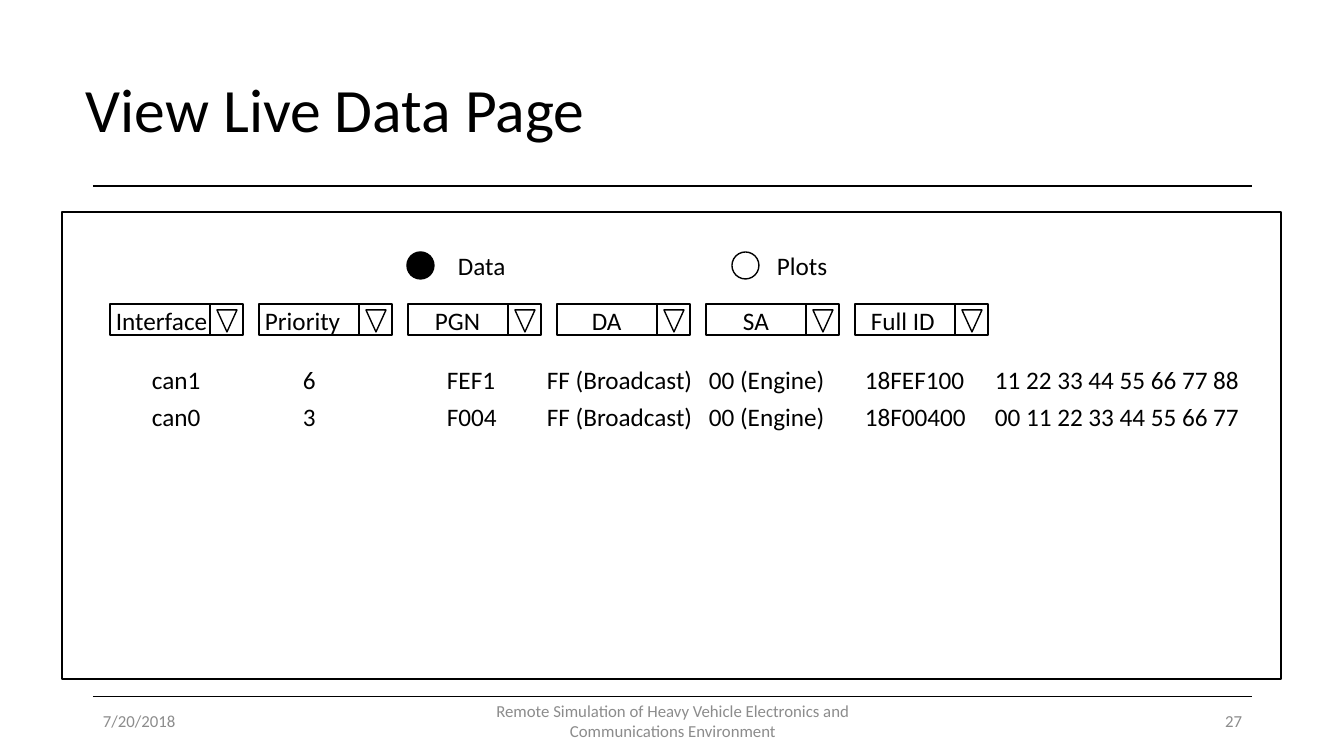
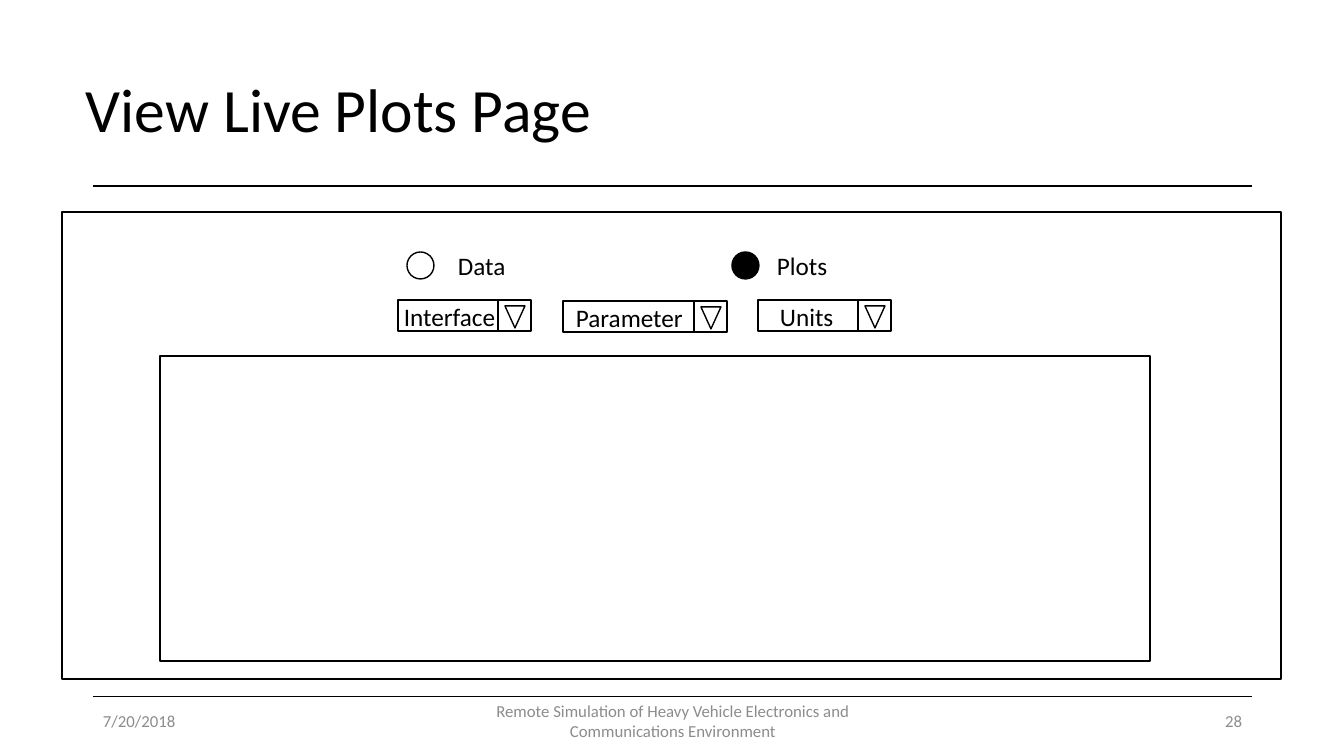
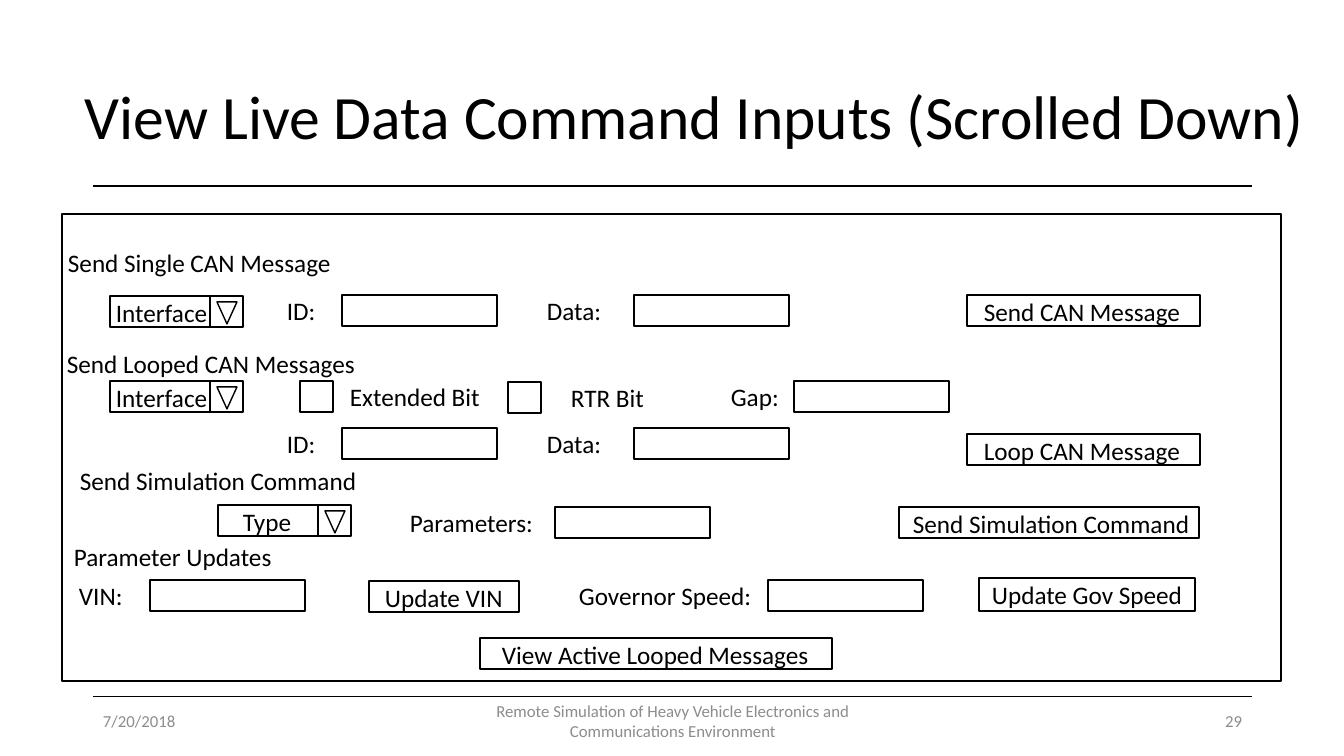
from lxml import etree
from pptx import Presentation, util as u
from pptx.dml.color import RGBColor
from pptx.enum import shapes as sh, text as tx
from pptx.oxml.ns import qn

SCALE = 914400 / 100.8
FONT = "Calibri"
HUES = {"ink": "000000", "mute": "8C8C8C"}
LEFT, MID, RIGHT = tx.PP_ALIGN.LEFT, tx.PP_ALIGN.CENTER, tx.PP_ALIGN.RIGHT
KIND = sh.MSO_SHAPE
ROW_H = 31


def emu(*px):
    """Turn pixels into EMU lengths."""
    return [u.Emu(round(p * SCALE)) for p in px]


def hue(name):
    """Look up a colour by name."""
    return RGBColor.from_string(HUES[name])


class Deck:
    """Holds the shared style and the current slide."""

    def __init__(self):
        """Start an empty wide deck."""
        self.prs = Presentation()
        self.prs.slide_width, self.prs.slide_height = emu(1344, 756)
        self.slide = None

    def page(self, title, num, at=(76, 40, 1175), top=212):
        """Add a slide with its rules, title, footer and main frame."""
        self.slide = self.prs.slides.add_slide(self.prs.slide_layouts[6])
        self.rule(186, 1.5)
        self.rule(696, 0.5)
        para = self.text(*at, title, h=146, size=44, wrap=True, mid=True)
        para.line_spacing = 0.9
        for x, w, words, side in (
                (93, 302, "7/20/2018", LEFT),
                (446, 454, "Remote Simulation of Heavy Vehicle Electronics "
                           "and Communications Environment", MID),
                (950, 302, str(num), RIGHT)):
            self.text(x, 701, w, words, size=12, ink="mute", side=side,
                      wrap=True, mid=True)
        self.shape(62, top, 1219, 467)

    def rule(self, y, pt):
        """Draw a horizontal line across the content width."""
        line = self.slide.shapes.add_connector(
            sh.MSO_CONNECTOR.STRAIGHT, *emu(93, y, 1252, y))
        line.line.width = u.Pt(pt)
        line.line.color.rgb = hue("ink")
        etree.SubElement(line._element.spPr, qn("a:effectLst"))

    def shape(self, x, y, w, h=ROW_H, kind=KIND.RECTANGLE, full=False):
        """Draw an outlined shape, filled on request."""
        item = self.slide.shapes.add_shape(kind, *emu(x, y, w, h))
        item.shadow.inherit = False
        item.line.color.rgb = hue("ink")
        item.line.width = u.Pt(1)
        if full:
            item.fill.solid()
            item.fill.fore_color.rgb = hue("ink")
        else:
            item.fill.background()
        return item

    def text(self, x, y, w, words, h=40, size=18, ink="ink", side=LEFT,
             wrap=False, mid=False):
        """Write one paragraph and return it."""
        frame = self.slide.shapes.add_textbox(*emu(x, y, w, h)).text_frame
        frame.word_wrap = wrap
        if mid:
            frame.vertical_anchor = tx.MSO_ANCHOR.MIDDLE
        else:
            frame.auto_size = tx.MSO_AUTO_SIZE.SHAPE_TO_FIT_TEXT
        para = frame.paragraphs[0]
        para.text = words
        para.alignment = side
        para.font.name, para.font.size = FONT, u.Pt(size)
        para.font.color.rgb = hue(ink)
        return para

    def row(self, y, cells, stops):
        """Write one data row with its cells on tab stops."""
        para = self.text(142, y, 1139, "\t".join(cells), wrap=True)
        tabs = etree.Element(qn("a:tabLst"))
        for pos in emu(*stops):
            etree.SubElement(tabs, qn("a:tab"), pos=str(pos), algn="l")
        para._p.get_or_add_pPr().insert(0, tabs)

    def drop(self, x, y, words, dx, tw, w=100):
        """Draw a drop-down list; dx shifts its label from the box."""
        self.shape(x, y, w)
        self.text(x + dx, y - 4, tw, words)
        self.shape(x + w, y, 33)
        arrow = self.shape(x + w + 7, y + 6, 20, 22, KIND.ISOSCELES_TRIANGLE)
        arrow._element.spPr.get_or_add_xfrm().set("flipV", "1")

    def field(self, x, y, words, tx, tw):
        """Draw an input box with a label to its left."""
        self.text(tx, y - 5, tw, words)
        self.shape(x, y, 155)

    def button(self, x, y, w, words, dx, tw, h=ROW_H):
        """Draw a button with its caption."""
        self.shape(x, y, w, h)
        self.text(x + dx, y - 4, tw, words)

    def radios(self, pick):
        """Draw the Data and Plots choice, with one picked."""
        for x, tx, w, words in ((407, 448, 69, "Data"), (732, 767, 72, "Plots")):
            self.shape(x, 252, 27, 27, KIND.OVAL, words == pick)
            self.text(tx, 245, w, words)


deck = Deck()

deck.page("View Live Data Page", 27)
heads = (("Interface", -4, 113), ("Priority", -4, 96), ("PGN", 17, 66),
         ("DA", 25, 50), ("SA", 27, 46), ("Full ID", 6, 85))
for i, head in enumerate(heads):
    deck.drop(110 + 149 * i, 304, *head)
stops = (151, 295, 395, 557, 713, 843)
deck.row(359, ("can1", "6", "FEF1", "FF (Broadcast)", "00 (Engine)",
               "18FEF100", "11 22 33 44 55 66 77 88"), stops)
deck.row(396, ("can0", "3", "F004", "FF (Broadcast)", "00 (Engine)",
               "18F00400", "00 11 22 33 44 55 66 77"), stops)
deck.radios("Data")

deck.page("View Live Plots Page", 28)
deck.drop(398, 300, "Interface", -4, 113)
deck.drop(563, 301, "Parameter", 3, 128, w=131)
deck.drop(758, 300, "Units", 12, 75)
deck.radios("Plots")
deck.shape(160, 356, 990, 305)

deck.page("View Live Data Command Inputs (Scrolled Down)", 29,
          at=(75, 47, 1240), top=214)
for x, y, w, words in ((58, 242, 286, "Send Single CAN Message"),
                       (57, 343, 311, "Send Looped CAN Messages"),
                       (70, 460, 300, "Send Simulation Command"),
                       (64, 536, 220, "Parameter Updates")):
    deck.text(x, y, w, words)
for y in (296, 381):
    deck.drop(110, y, "Interface", -4, 113)
deck.drop(218, 505, "Type", 15, 70)
for y in (295, 428):
    deck.field(342, y, "ID: ", 277, 55)
    deck.field(634, y, "Data: ", 537, 81)
deck.field(794, 381, "Gap: ", 721, 75)
deck.field(555, 507, "Parameters: ", 400, 150)
deck.field(150, 580, "VIN: ", 69, 71)
deck.field(768, 580, "Governor Speed: ", 569, 201)
for x, y, tx_left, w, words in ((300, 381, 340, 151, "Extended Bit"),
                                (508, 382, 561, 94, "RTR Bit")):
    deck.shape(x, y, 33)
    deck.text(tx_left, y - 5, w, words)
deck.button(967, 295, 233, "Send CAN Message", 7, 219)
deck.button(967, 434, 233, "Loop CAN Message", 7, 219)
deck.button(899, 507, 300, "Send Simulation Command", 4, 312)
deck.button(369, 581, 150, "Update VIN", 6, 139)
deck.button(979, 578, 216, "Update Gov Speed", 3, 213, h=33)
deck.button(480, 638, 352, "View Active Looped Messages", 12, 331)

deck.prs.save("out.pptx")
